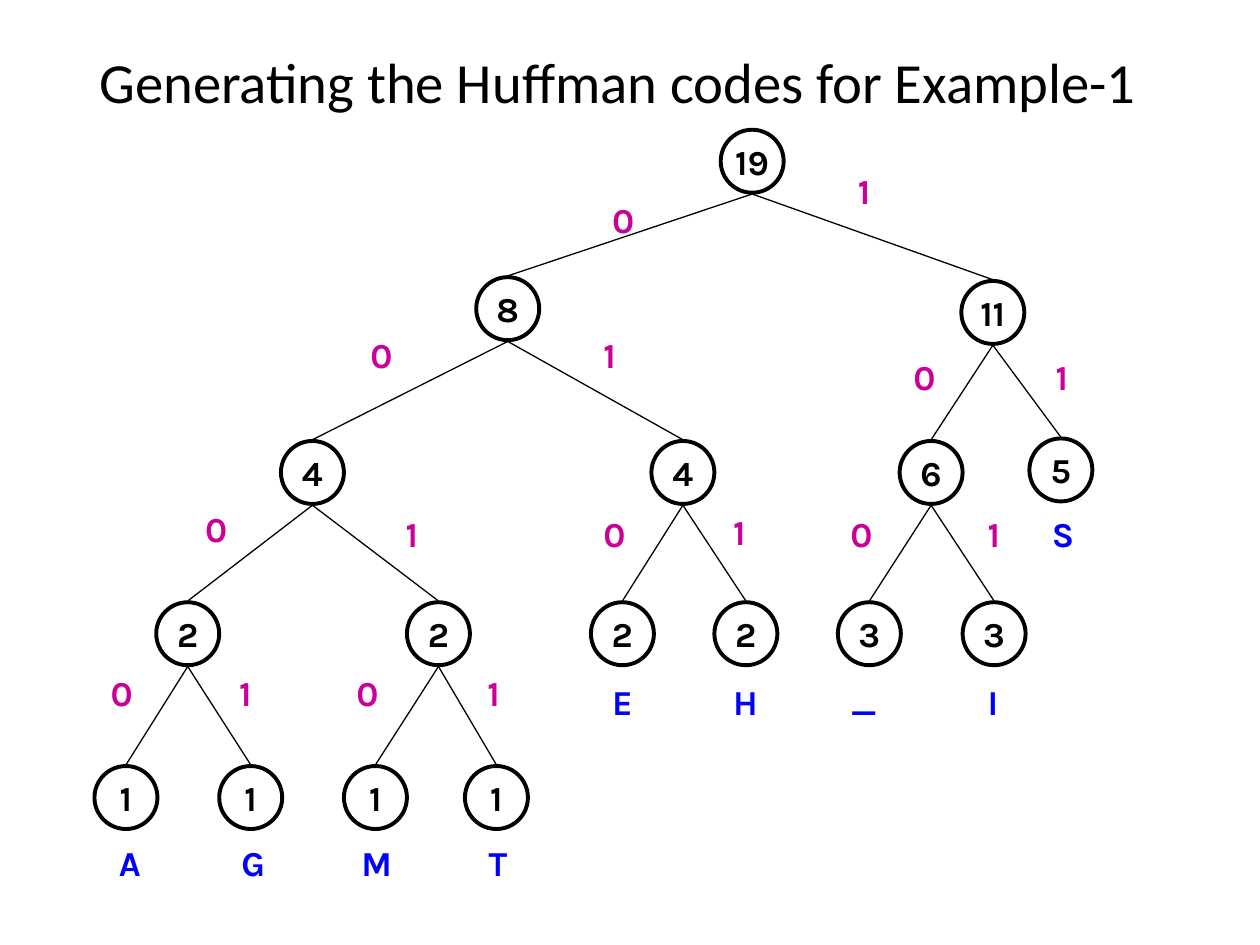
from dataclasses import dataclass
from typing import Optional

from lxml import etree
from pptx import Presentation
from pptx.dml.color import RGBColor
from pptx.enum.shapes import MSO_CONNECTOR as CONN, MSO_SHAPE as SHAPE
from pptx.enum.text import MSO_ANCHOR as ANCHOR, PP_ALIGN as ALIGN
from pptx.oxml.ns import qn
from pptx.util import Inches, Pt


@dataclass(frozen=True)
class Theme:
    ink: RGBColor = RGBColor(0x00, 0x00, 0x00)
    bit: RGBColor = RGBColor(0xCC, 0x00, 0x99)
    symbol: RGBColor = RGBColor(0x00, 0x00, 0xFF)
    title_font: str = "Calibri"
    tree_font: str = "Karla"
    title_size: float = 32.4
    tree_size: float = 20
    node_line: float = 2.25
    edge_line: float = 0.75


@dataclass(frozen=True)
class Label:
    text: str
    x: float
    y: float
    w: float = 0.39
    align: ALIGN = ALIGN.LEFT


@dataclass(frozen=True)
class Node:
    weight: int
    x: float
    y: float
    bit_at: Optional[tuple[float, float]] = None
    children: tuple["Node", ...] = ()
    symbol: Optional[Label] = None


THEME = Theme()
DIAMETER = 0.5
LABEL_H = 0.5
EDGE_GAP = 0.01
ROW_3, ROW_4, ROW_5 = 3.5, 4.78, 6.08
SYMBOL_4, SYMBOL_5 = 5.35, 6.63

NODE_A = Node(1, 0.75, ROW_5, (0.78, 5.28), symbol=Label("A", 0.81, SYMBOL_5, 0.44, ALIGN.CENTER))
NODE_G = Node(1, 1.74, ROW_5, (1.8, 5.28), symbol=Label("G", 1.78, SYMBOL_5, 0.46, ALIGN.CENTER))
NODE_M = Node(1, 2.73, ROW_5, (2.73, 5.28), symbol=Label("M", 2.75, SYMBOL_5, 0.48, ALIGN.CENTER))
NODE_T = Node(1, 3.69, ROW_5, (3.77, 5.28), symbol=Label("T", 3.78, SYMBOL_5, 0.4))
NODE_E = Node(2, 4.69, ROW_4, (4.69, 4.02), symbol=Label("E", 4.76, SYMBOL_4, 0.42))
NODE_H = Node(2, 5.67, ROW_4, (5.72, 4), symbol=Label("H", 5.72, SYMBOL_4, 0.44))
NODE_SPACE = Node(3, 6.65, ROW_4, (6.65, 4.02), symbol=Label("_", 6.65, SYMBOL_4))
NODE_I = Node(3, 7.64, ROW_4, (7.74, 4.02), symbol=Label("I", 7.74, SYMBOL_4, 0.29))
NODE_S = Node(5, 8.17, 3.48, (8.28, 2.77), symbol=Label("S", 8.25, 4.02, 0.42))

NODE_AG = Node(2, 1.24, ROW_4, (1.53, 3.98), (NODE_A, NODE_G))
NODE_MT = Node(2, 3.23, ROW_4, (3.12, 4.02), (NODE_M, NODE_T))
NODE_AGMT = Node(4, 2.23, ROW_3, (2.84, 2.6), (NODE_AG, NODE_MT))
NODE_EH = Node(4, 5.17, ROW_3, (4.69, 2.6), (NODE_E, NODE_H))
NODE_SPACE_I = Node(6, 7.14, ROW_3, (7.15, 2.77), (NODE_SPACE, NODE_I))
LEFT_TREE = Node(8, 3.78, 2.2, (4.76, 1.53), (NODE_AGMT, NODE_EH))
RIGHT_TREE = Node(11, 7.63, 2.23, (6.71, 1.3), (NODE_SPACE_I, NODE_S))
ROOT = Node(19, 5.72, 1.03, children=(LEFT_TREE, RIGHT_TREE))


def set_text(sp, text: str, color: RGBColor, align: ALIGN) -> None:
    p = sp.text_frame.paragraphs[0]
    p.text = text
    p.alignment = align
    font = p.runs[0].font
    font.name = THEME.tree_font
    font.size = Pt(THEME.tree_size)
    font.bold = True
    font.color.rgb = color


def draw_title(slide, text: str) -> None:
    sp = slide.shapes.add_textbox(Inches(0.69), Inches(0.4), Inches(8.62), Inches(0.55))
    tf = sp.text_frame
    tf.word_wrap = True
    tf.vertical_anchor = ANCHOR.MIDDLE
    p = tf.paragraphs[0]
    p.text = text
    p.line_spacing = 0.9
    font = p.runs[0].font
    font.name = THEME.title_font
    font.size = Pt(THEME.title_size)
    font.color.rgb = THEME.ink


def draw_label(slide, label: Label, color: RGBColor) -> None:
    sp = slide.shapes.add_textbox(
        Inches(label.x), Inches(label.y), Inches(label.w), Inches(LABEL_H))
    sp.text_frame.word_wrap = True
    set_text(sp, label.text, color, label.align)


def draw_edge(slide, parent: Node, child: Node) -> None:
    radius = DIAMETER / 2
    line = slide.shapes.add_connector(
        CONN.STRAIGHT,
        Inches(child.x + radius), Inches(child.y - EDGE_GAP),
        Inches(parent.x + radius), Inches(parent.y + DIAMETER + EDGE_GAP))
    line.line.color.rgb = THEME.ink
    line.line.width = Pt(THEME.edge_line)
    etree.SubElement(line._element.spPr, qn("a:effectLst"))


def draw_node(slide, node: Node) -> None:
    sp = slide.shapes.add_shape(
        SHAPE.FLOWCHART_CONNECTOR,
        Inches(node.x), Inches(node.y), Inches(DIAMETER), Inches(DIAMETER))
    sp.shadow.inherit = False
    sp.fill.background()
    sp.line.color.rgb = THEME.ink
    sp.line.width = Pt(THEME.node_line)
    tf = sp.text_frame
    tf.word_wrap = False
    tf.vertical_anchor = ANCHOR.MIDDLE
    set_text(sp, str(node.weight), THEME.ink, ALIGN.CENTER)


def draw_tree(slide, node: Node) -> None:
    draw_node(slide, node)
    if node.symbol:
        draw_label(slide, node.symbol, THEME.symbol)
    for bit, child in enumerate(node.children):
        draw_edge(slide, node, child)
        draw_label(slide, Label(str(bit), *child.bit_at), THEME.bit)
        draw_tree(slide, child)


def main() -> None:
    prs = Presentation()
    prs.slide_width, prs.slide_height = Inches(10), Inches(7.5)
    slide = prs.slides.add_slide(prs.slide_layouts[6])
    draw_title(slide, "Generating the Huffman codes for Example-1")
    draw_tree(slide, ROOT)
    prs.save("out.pptx")


if __name__ == "__main__":
    main()
